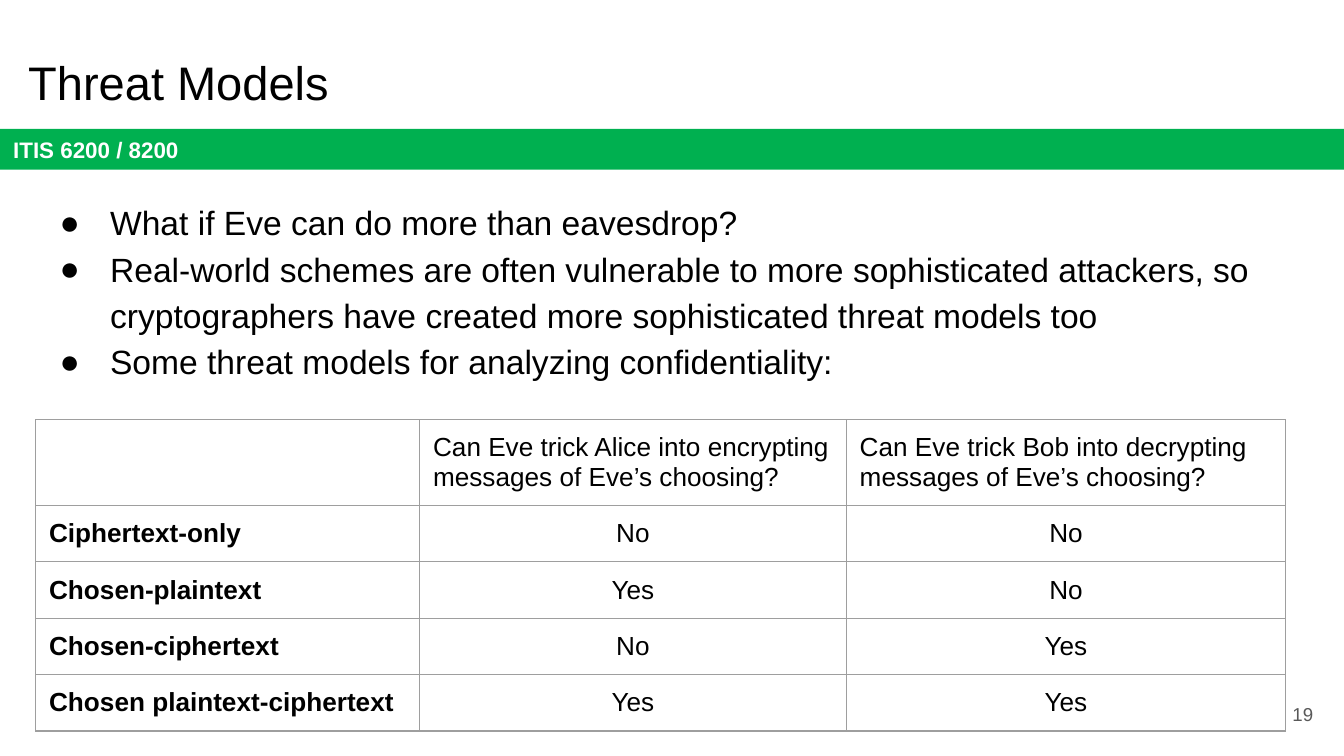
from dataclasses import dataclass

from lxml.etree import SubElement
from pptx import Presentation
from pptx.dml.color import RGBColor
from pptx.enum.shapes import MSO_SHAPE
from pptx.enum.text import MSO_ANCHOR, MSO_AUTO_SIZE, PP_ALIGN
from pptx.oxml.ns import qn
from pptx.util import Pt


@dataclass(frozen=True)
class Theme:
    font: str = "Arial"
    ink: str = "000000"
    paper: str = "FFFFFF"
    green: str = "00B050"
    gray: str = "595959"
    border: str = "9E9E9E"
    title: float = 25.2
    body: float = 18
    table: float = 14
    course: float = 12
    number: float = 10
    inset: float = 7.2
    border_width: float = 0.75


THEME = Theme()
TITLE = "Threat Models"
COURSE = "ITIS 6200 / 8200"
PAGE_NUMBER = "19"
BULLETS = [
    "What if Eve can do more than eavesdrop?",
    "Real-world schemes are often vulnerable to more sophisticated attackers, "
    "so cryptographers have created more sophisticated threat models too",
    "Some threat models for analyzing confidentiality:",
]
ROWS = [
    ("", "Can Eve trick Alice into encrypting messages of Eve’s choosing?",
     "Can Eve trick Bob into decrypting messages of Eve’s choosing?"),
    ("Ciphertext-only", "No", "No"),
    ("Chosen-plaintext", "Yes", "No"),
    ("Chosen-ciphertext", "No", "Yes"),
    ("Chosen plaintext-ciphertext", "Yes", "Yes"),
]
COLUMN_WIDTHS = (205.7, 228.6, 235.4)
HEADER_HEIGHT, ROW_HEIGHT = 45.6, 30.24


def place(shape, left, top, width, height):
    shape.left, shape.top = Pt(left), Pt(top)
    shape.width, shape.height = Pt(width), Pt(height)


def set_margins(target):
    """Give a text frame or table cell the same inset on every side."""
    target.margin_left = target.margin_right = Pt(THEME.inset)
    target.margin_top = target.margin_bottom = Pt(THEME.inset)


def prepare(shape, anchor):
    frame = shape.text_frame
    frame.word_wrap = True
    frame.auto_size = MSO_AUTO_SIZE.NONE
    frame.vertical_anchor = anchor
    set_margins(frame)
    return frame


def write(para, text, size, color=THEME.ink, bold=False, align=PP_ALIGN.LEFT):
    para.alignment = align
    span = para.add_run()
    span.text = text
    span.font.name = THEME.font
    span.font.size = Pt(size)
    span.font.bold = bold
    span.font.color.rgb = RGBColor.from_string(color)


def add_bullet(para):
    properties = para._p.get_or_add_pPr()
    properties.set("marL", str(Pt(36)))
    properties.set("indent", str(-Pt(27)))
    color = SubElement(properties, qn("a:buClr"))
    SubElement(color, qn("a:srgbClr"), val=THEME.ink)
    SubElement(properties, qn("a:buFont"), typeface=THEME.font)
    SubElement(properties, qn("a:buChar"), char="●")


def add_borders(cell):
    properties = cell._tc.get_or_add_tcPr()
    for position, side in enumerate(("lnL", "lnR", "lnT", "lnB")):
        line = properties.makeelement(
            qn(f"a:{side}"), {"w": str(Pt(THEME.border_width))})
        fill = SubElement(line, qn("a:solidFill"))
        SubElement(fill, qn("a:srgbClr"), val=THEME.border)
        properties.insert(position, line)


def add_course_bar(page):
    bar = page.shapes.add_shape(
        MSO_SHAPE.RECTANGLE, Pt(0), Pt(69.1), Pt(720), Pt(21.8))
    bar.shadow.inherit = False
    bar.fill.solid()
    bar.fill.fore_color.rgb = RGBColor.from_string(THEME.green)
    bar.line.fill.background()
    frame = prepare(bar, MSO_ANCHOR.MIDDLE)
    write(frame.paragraphs[0], COURSE, THEME.course, THEME.paper, bold=True)


def fill_placeholders(page):
    title, body = page.shapes.title, page.placeholders[1]
    place(title, 7.9, 21.6, 671, 45.4)
    frame = prepare(title, MSO_ANCHOR.TOP)
    write(frame.paragraphs[0], TITLE, THEME.title)

    place(body, 15.8, 97.9, 671, 131.8)
    frame = prepare(body, MSO_ANCHOR.TOP)
    for index, text in enumerate(BULLETS):
        para = frame.add_paragraph() if index else frame.paragraphs[0]
        add_bullet(para)
        para.line_spacing = 1.15
        para.space_before = para.space_after = Pt(0)
        write(para, text, THEME.body)


def add_threat_table(page):
    height = HEADER_HEIGHT + ROW_HEIGHT * (len(ROWS) - 1)
    table = page.shapes.add_table(
        len(ROWS), len(COLUMN_WIDTHS), Pt(19.1), Pt(224.9),
        Pt(sum(COLUMN_WIDTHS)), Pt(height)).table
    table.first_row = table.horz_banding = False
    for column, width in zip(table.columns, COLUMN_WIDTHS):
        column.width = Pt(width)
    for row, texts in enumerate(ROWS):
        table.rows[row].height = Pt(ROW_HEIGHT if row else HEADER_HEIGHT)
        for column, text in enumerate(texts):
            cell = table.cell(row, column)
            set_margins(cell)
            cell.fill.background()
            add_borders(cell)
            if text:
                is_answer = row > 0 and column > 0
                write(cell.text_frame.paragraphs[0], text, THEME.table,
                      bold=column == 0,
                      align=PP_ALIGN.CENTER if is_answer else PP_ALIGN.LEFT)


def add_page_number(page):
    box = page.shapes.add_textbox(Pt(667.4), Pt(367.2), Pt(43.2), Pt(31))
    frame = prepare(box, MSO_ANCHOR.MIDDLE)
    write(frame.paragraphs[0], PAGE_NUMBER, THEME.number, THEME.gray,
          align=PP_ALIGN.RIGHT)


def main():
    deck = Presentation()
    deck.slide_width, deck.slide_height = Pt(720), Pt(405)
    page = deck.slides.add_slide(deck.slide_layouts[1])
    add_course_bar(page)
    fill_placeholders(page)
    add_page_number(page)
    add_threat_table(page)
    deck.save("out.pptx")


if __name__ == "__main__":
    main()
